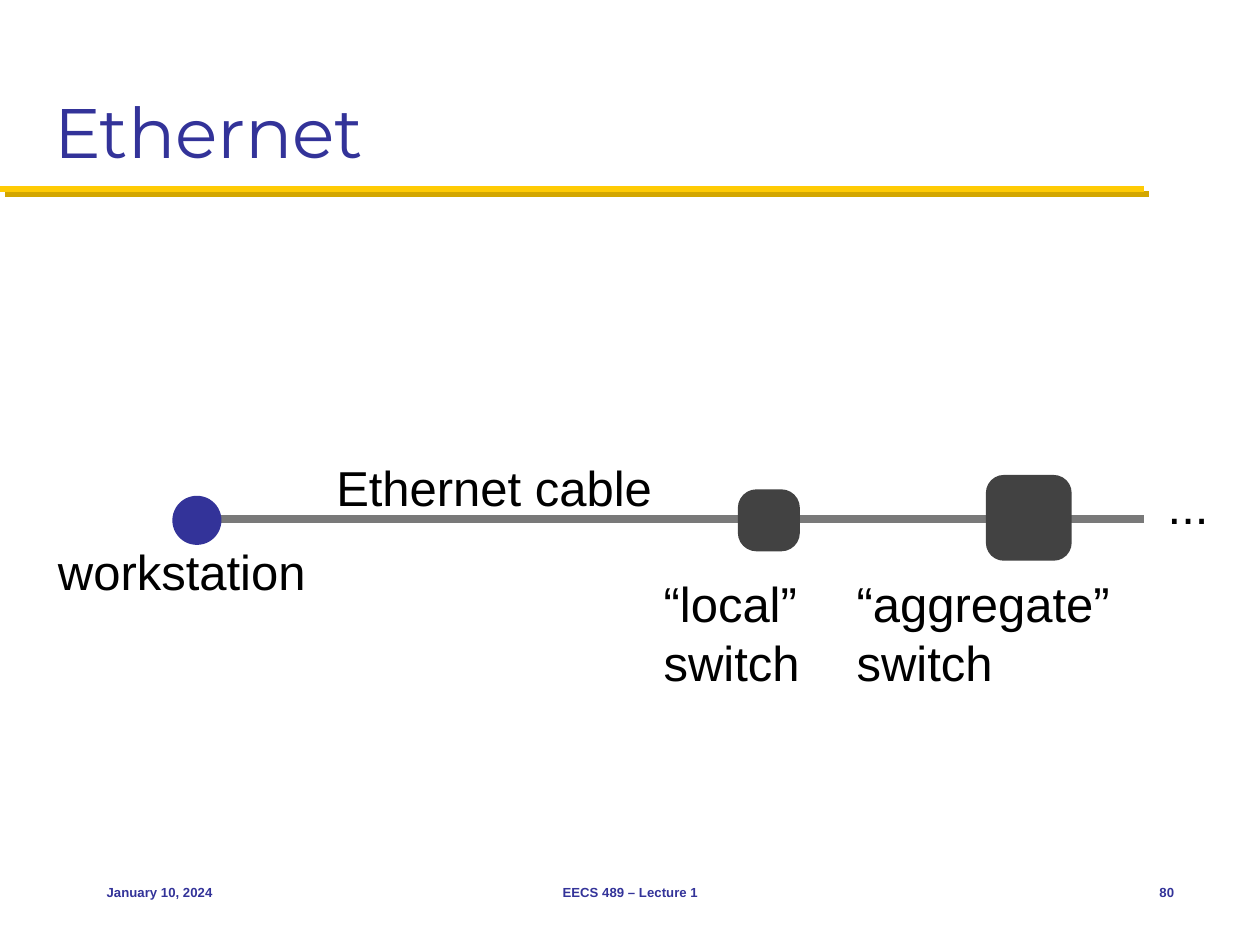
import dataclasses

import pptx
import pptx.dml.color
import pptx.enum.shapes
import pptx.enum.text
import pptx.util
from lxml import etree
from pptx.oxml.ns import qn

Cm = pptx.util.Cm
Align = pptx.enum.text.PP_ALIGN
Anchor = pptx.enum.text.MSO_ANCHOR
Shape = pptx.enum.shapes.MSO_SHAPE


@dataclasses.dataclass(frozen=True)
class Theme:
    navy: str = "333399"
    gold: str = "FFCB05"
    dark_gold: str = "D3A600"
    cable: str = "797979"
    switch: str = "424242"
    text: str = "000000"
    title_font: str = "Montserrat"
    body_font: str = "Arial"
    title_size: float = 40
    label_size: float = 28
    footer_size: float = 7.5


class SlideBuilder:
    def __init__(self, slide, theme):
        self.slide = slide
        self.theme = theme

    def color(self, value):
        return pptx.dml.color.RGBColor.from_string(value)

    def line(self, start, end, y, color, width, shadow=None):
        line = self.slide.shapes.add_connector(
            pptx.enum.shapes.MSO_CONNECTOR.STRAIGHT, Cm(start), Cm(y), Cm(end), Cm(y))
        line.line.color.rgb = self.color(color)
        line.line.width = pptx.util.Pt(width)
        effects = etree.SubElement(line._element.spPr, qn("a:effectLst"))
        if shadow:
            outer = etree.SubElement(
                effects, qn("a:outerShdw"), dist=str(pptx.util.Pt(4.2)),
                dir=str(45 * 60000), algn="ctr", rotWithShape="0")
            etree.SubElement(outer, qn("a:srgbClr"), val=shadow)

    def node(self, kind, center_x, center_y, size, color, rounding=None):
        node = self.slide.shapes.add_shape(
            kind, Cm(center_x - size / 2), Cm(center_y - size / 2), Cm(size), Cm(size))
        if rounding is not None:
            node.adjustments[0] = rounding
        node.shadow.inherit = False
        node.fill.solid()
        node.fill.fore_color.rgb = self.color(color)
        node.line.fill.background()

    def text(self, content, box, size, color, font=None, bold=False,
             align=Align.LEFT, anchor=Anchor.MIDDLE, insets=(0.25, 0.13)):
        frame = self.slide.shapes.add_textbox(*map(Cm, box)).text_frame
        frame.word_wrap = True
        frame.vertical_anchor = anchor
        frame.margin_left = frame.margin_right = Cm(insets[0])
        frame.margin_top = frame.margin_bottom = Cm(insets[1])
        frame.text = content
        paragraph = frame.paragraphs[0]
        paragraph.alignment = align
        style = paragraph.runs[0].font
        style.name = font or self.theme.body_font
        style.size = pptx.util.Pt(size)
        style.bold = bold
        style.color.rgb = self.color(color)

    def title(self, content):
        self.text(content, (0.84, 0.43, 23.7, 3.18), self.theme.title_size,
                  self.theme.navy, font=self.theme.title_font, anchor=Anchor.BOTTOM)

    def label(self, content, box):
        self.text(content, box, self.theme.label_size, self.theme.text,
                  insets=(0.1, 0.1))

    def footer(self, content, left, width, align):
        self.text(content, (left, 17.35, width, 1.27), self.theme.footer_size,
                  self.theme.navy, bold=True, align=align)


def main():
    theme = Theme()
    presentation = pptx.Presentation()
    presentation.slide_width = Cm(25.4)
    presentation.slide_height = Cm(19.05)
    builder = SlideBuilder(
        presentation.slides.add_slide(presentation.slide_layouts[6]), theme)

    # Heading and its rule
    line_end = 23.06
    builder.line(0, line_end, 3.81, theme.gold, 3.5, shadow=theme.dark_gold)
    builder.title("Ethernet")

    # Cable with the devices along it
    workstation_x = 3.97
    builder.line(workstation_x, line_end, 10.46, theme.cable, 5)
    builder.node(Shape.OVAL, workstation_x, 10.49, 0.99, theme.navy)
    for center_x, center_y, size, rounding in (
            (15.5, 10.49, 1.25, 0.3), (20.74, 10.44, 1.73, 0.21)):
        builder.node(Shape.ROUNDED_RECTANGLE, center_x, center_y, size,
                     theme.switch, rounding)

    # Labels
    one_line, two_lines, switch_top = 1.4, 2.59, 11.46
    builder.label("workstation", (1.07, 10.8, 5.82, one_line))
    builder.label("Ethernet cable", (6.68, 9.12, 6.88, one_line))
    builder.label("“local” switch", (13.28, switch_top, 4.39, two_lines))
    builder.label("“aggregate” switch", (17.17, switch_top, 7.14, two_lines))
    builder.label("...", (23.44, 9.47, 1.3, one_line))

    # Footer
    builder.footer("January 10, 2024", 1.9, 5.28, Align.LEFT)
    builder.footer("EECS 489 – Lecture 1", 8.68, 8.05, Align.CENTER)
    builder.footer("80", 22.22, 1.7, Align.RIGHT)

    presentation.save("out.pptx")


if __name__ == "__main__":
    main()
